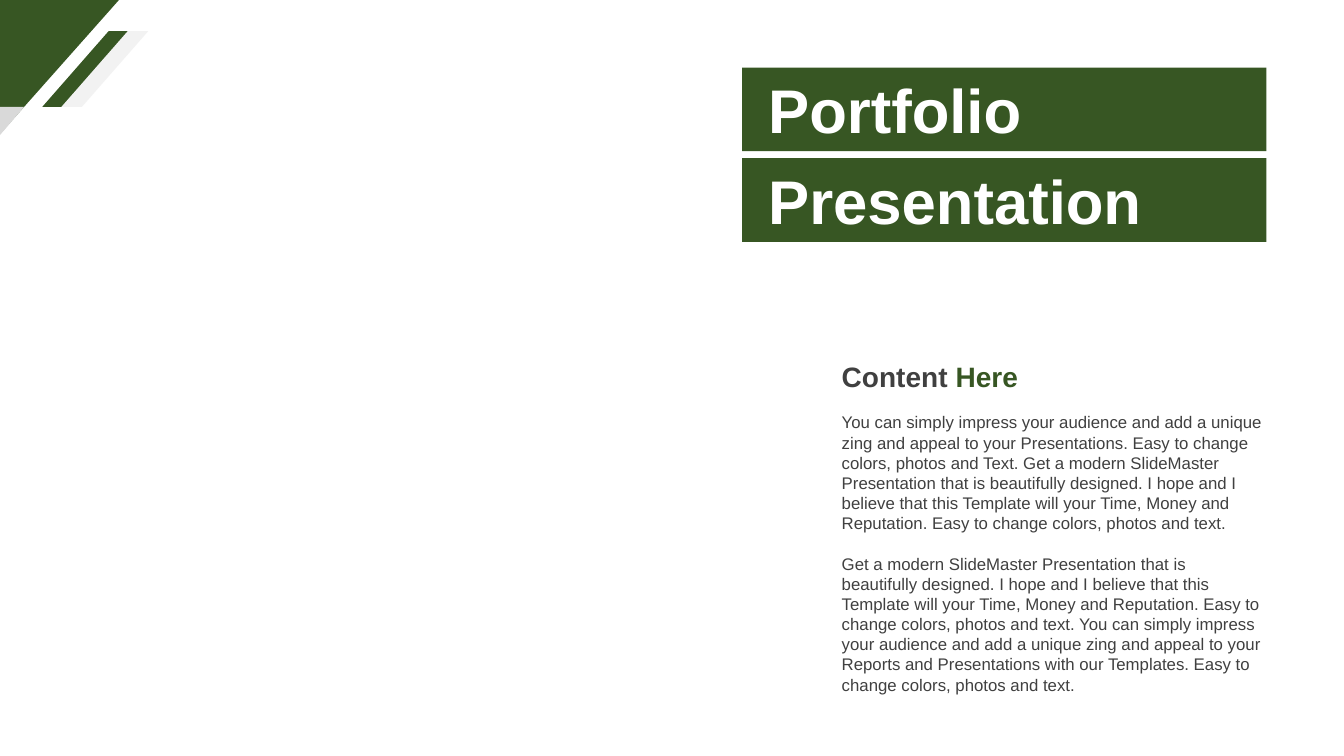
from dataclasses import dataclass

from pptx import Presentation
from pptx.dml.color import RGBColor
from pptx.enum.shapes import MSO_SHAPE
from pptx.enum.text import MSO_ANCHOR, PP_ALIGN
from pptx.util import Inches, Pt


@dataclass(frozen=True)
class Theme:
    green: str = "375623"
    dark: str = "404040"
    white: str = "FFFFFF"
    pale: str = "F2F2F2"
    grey: str = "D9D9D9"
    font: str = "Arial"
    title_size: int = 44
    heading_size: int = 20
    body_size: int = 12
    body_gap: float = 14.4


THEME = Theme()

TITLE_WORDS = ["Portfolio", "Presentation"]
BODY = [
    "You can simply impress your audience and add a unique zing and appeal to "
    "your Presentations. Easy to change colors, photos and Text. Get a modern "
    "SlideMaster Presentation that is beautifully designed. I hope and I believe "
    "that this Template will your Time, Money and Reputation. Easy to change "
    "colors, photos and text.",
    "Get a modern SlideMaster Presentation that is beautifully designed. I hope "
    "and I believe that this Template will your Time, Money and Reputation. Easy "
    "to change colors, photos and text. You can simply impress your audience and "
    "add a unique zing and appeal to your Reports and Presentations with our "
    "Templates. Easy to change colors, photos and text.",
]


def paint(shape, color):
    """Give a shape a flat fill with no outline or shadow."""
    shape.shadow.inherit = False
    shape.fill.solid()
    shape.fill.fore_color.rgb = RGBColor.from_string(color)
    shape.line.fill.background()


def add_block(slide, kind, left, top, width, height, color):
    block = slide.shapes.add_shape(
        kind, Inches(left), Inches(top), Inches(width), Inches(height))
    paint(block, color)
    return block


def add_polygon(slide, points, color):
    corners = [(Inches(x), Inches(y)) for x, y in points]
    builder = slide.shapes.build_freeform(*corners[0])
    builder.add_line_segments(corners[1:], close=True)
    paint(builder.convert_to_shape(), color)


def write(frame, paragraphs, *, size, bold=False, gap=0, anchor=MSO_ANCHOR.TOP):
    """Fill a frame; each paragraph is a list of (text, color) runs."""
    frame.word_wrap = True
    frame.vertical_anchor = anchor
    for index, runs in enumerate(paragraphs):
        paragraph = frame.add_paragraph() if index else frame.paragraphs[0]
        paragraph.alignment = PP_ALIGN.LEFT
        if index:
            paragraph.space_before = Pt(gap)
        for text, color in runs:
            run = paragraph.add_run()
            run.text = text
            run.font.name = THEME.font
            run.font.size = Pt(size)
            run.font.bold = bold
            run.font.color.rgb = RGBColor.from_string(color)


def add_text(slide, left, top, width, height, paragraphs, **style):
    box = slide.shapes.add_textbox(
        Inches(left), Inches(top), Inches(width), Inches(height))
    write(box.text_frame, paragraphs, **style)


def add_title_bar(slide, top, word):
    bar = add_block(slide, MSO_SHAPE.RECTANGLE, 7.36, top, 5.2, 0.83, THEME.green)
    frame = bar.text_frame
    frame.margin_left = frame.margin_right = Inches(0.26)
    frame.margin_top = frame.margin_bottom = Inches(0.08)
    write(frame, [[(word, THEME.white)]], size=THEME.title_size, bold=True,
          anchor=MSO_ANCHOR.MIDDLE)


def add_corner(slide):
    for left, color in ((0.42, THEME.green), (0.61, THEME.pale)):
        stripe = add_block(slide, MSO_SHAPE.PARALLELOGRAM,
                           left, 0.31, 0.86, 0.75, color)
        stripe.adjustments[0] = 0.876
    add_polygon(slide, [(0, 0), (1.18, 0), (0, 1.33)], THEME.green)
    add_polygon(slide, [(0, 1.06), (0.24, 1.06), (0, 1.34)], THEME.grey)


def main():
    deck = Presentation()
    deck.slide_width, deck.slide_height = Inches(13.33), Inches(7.5)
    slide = deck.slides.add_slide(deck.slide_layouts[6])

    # Corner decoration
    add_corner(slide)

    # Title bars
    for row, word in enumerate(TITLE_WORDS):
        add_title_bar(slide, 0.67 + 0.9 * row, word)

    # Content heading and body
    add_text(slide, 8.25, 4.04, 4.39, 2.93,
             [[(text, THEME.dark)] for text in BODY],
             size=THEME.body_size, gap=THEME.body_gap)
    add_text(slide, 8.25, 3.51, 4.39, 0.44,
             [[("Content ", THEME.dark), ("Here", THEME.green)]],
             size=THEME.heading_size, bold=True, anchor=MSO_ANCHOR.MIDDLE)

    deck.save("out.pptx")


if __name__ == "__main__":
    main()
